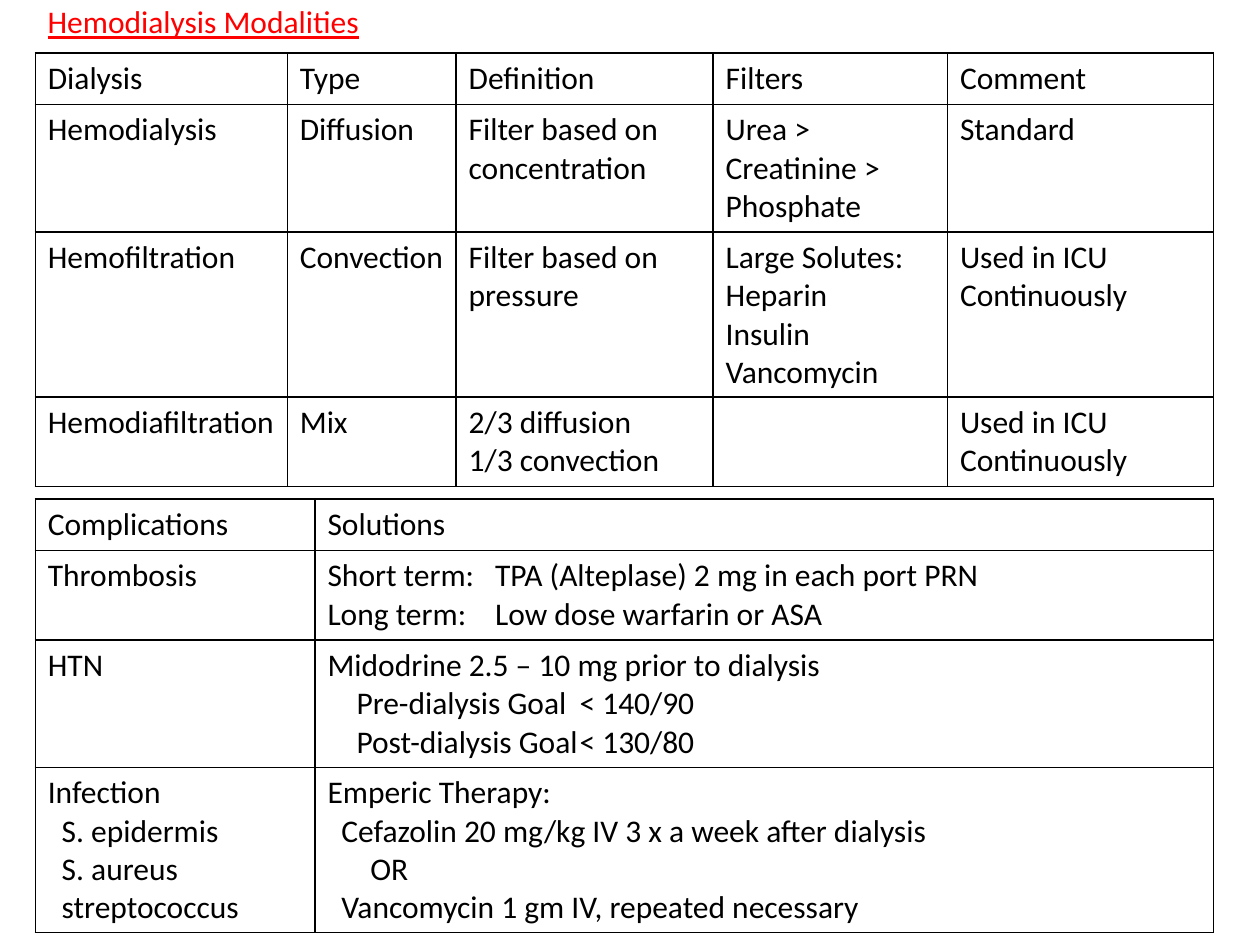
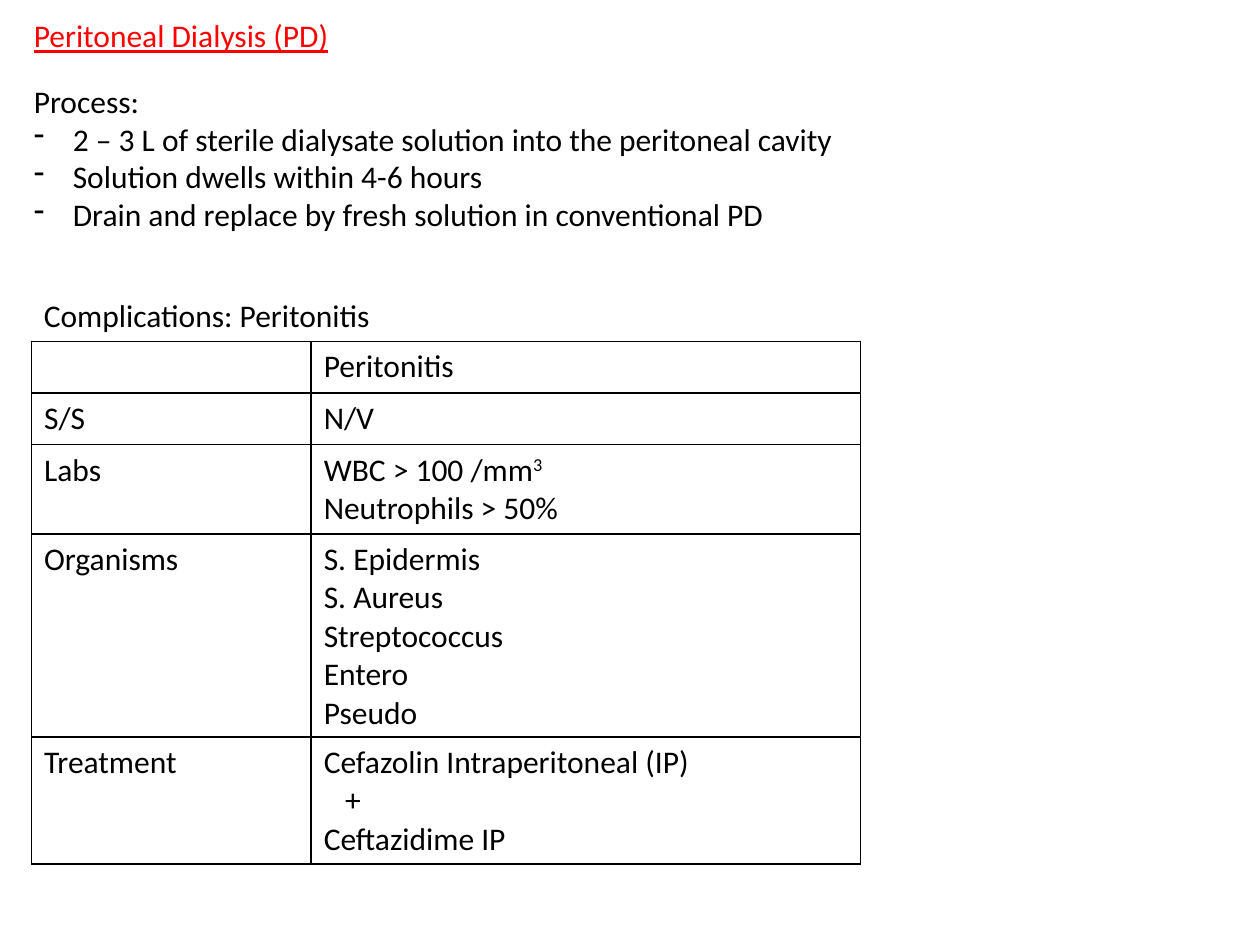
"""Build two slides on hemodialysis and peritoneal dialysis."""
import lxml.etree
import pptx
import pptx.dml.color
import pptx.enum.text
import pptx.oxml
import pptx.oxml.ns
import pptx.util

BLACK, RED = "000000", "FF0000"
BODY = {"name": "Calibri", "size": pptx.util.Pt(18)}
TITLE = {**BODY, "underline": True}
BORDER = (
    '<a:{} xmlns:a="http://schemas.openxmlformats.org/drawingml/2006/main" w="12700">'
    '<a:solidFill><a:srgbClr val="{}"/></a:solidFill></a:{}>'
)
LINE, PADDING = 3, 1.1
DASH = "dash"

deck = pptx.Presentation()
deck.slide_width = pptx.util.Inches(10)
deck.slide_height = pptx.util.Inches(7.5)


def share(percent):
    """Return a percentage of the slide width as a length."""
    return pptx.util.Emu(round(deck.slide_width * percent / 100))


def write(frame, lines, look, colour):
    """Write lines, each a text or (text, indent, tab); ^ starts a superscript."""
    for index, line in enumerate(lines):
        text, indent, tab = line if isinstance(line, tuple) else (line, 0, 0)
        para = frame.paragraphs[0] if index == 0 else frame.add_paragraph()
        settings = para._p.get_or_add_pPr()
        if indent == DASH:
            settings.set("marL", str(share(3.1)))
            settings.set("indent", str(-share(3.1)))
            bullet = lxml.etree.SubElement(settings, pptx.oxml.ns.qn("a:buChar"))
            bullet.set("char", "-")
        elif indent:
            settings.set("marL", "0")
            settings.set("indent", str(share(indent)))
        if tab:
            stops = lxml.etree.SubElement(settings, pptx.oxml.ns.qn("a:tabLst"))
            stop = lxml.etree.SubElement(stops, pptx.oxml.ns.qn("a:tab"))
            stop.set("pos", str(share(tab)))
            stop.set("algn", "l")
        for position, piece in enumerate(text.split("^")):
            span = para.add_run()
            span.text = piece
            for name, value in look.items():
                setattr(span.font, name, value)
            span.font.color.rgb = pptx.dml.color.RGBColor.from_string(colour)
            if position:
                span._r.get_or_add_rPr().set("baseline", "30000")


modalities = [
    [["Dialysis"], ["Type"], ["Definition"], ["Filters"], ["Comment"]],
    [["Hemodialysis"], ["Diffusion"], ["Filter based on", "concentration"],
     ["Urea >", "Creatinine >", "Phosphate"], ["Standard"]],
    [["Hemofiltration"], ["Convection"], ["Filter based on", "pressure"],
     ["Large Solutes:", "Heparin", "Insulin", "Vancomycin"],
     ["Used in ICU", "Continuously"]],
    [["Hemodiafiltration"], ["Mix"], ["2/3 diffusion", "1/3 convection"],
     [], ["Used in ICU", "Continuously"]],
]
complications = [
    [["Complications"], ["Solutions"]],
    [["Thrombosis"],
     [("Short term:\tTPA (Alteplase) 2 mg in each port PRN", 0, 13.3),
      ("Long term:\tLow dose warfarin or ASA", 0, 13.3)]],
    [["HTN"],
     ["Midodrine 2.5 – 10 mg prior to dialysis",
      ("Pre-dialysis Goal\t< 140/90", 2.3, 21),
      ("Post-dialysis Goal\t< 130/80", 2.3, 21)]],
    [["Infection", ("S. epidermis", 1.1, 0), ("S. aureus", 1.1, 0),
      ("streptococcus", 1.1, 0)],
     ["Emperic Therapy:",
      ("Cefazolin 20 mg/kg IV 3 x a week after dialysis", 1.1, 0),
      ("OR", 3.4, 0),
      ("Vancomycin 1 gm IV, repeated necessary", 1.1, 0)]],
]
peritonitis = [
    [[], ["Peritonitis"]],
    [["S/S"], ["N/V"]],
    [["Labs"], ["WBC > 100 /mm^3", "Neutrophils > 50%"]],
    [["Organisms"],
     ["S. Epidermis", "S. Aureus", "Streptococcus", "Entero", "Pseudo"]],
    [["Treatment"],
     ["Cefazolin Intraperitoneal (IP)", ("+", 1.7, 0), "Ceftazidime IP"]],
]
process = [
    "Process:",
    ("2 – 3 L of sterile dialysate solution into the peritoneal cavity", DASH, 0),
    ("Solution dwells within 4-6 hours", DASH, 0),
    ("Drain and replace by fresh solution in conventional PD", DASH, 0),
]

pages = [
    {"texts": [(2.8, -0.3, 27, ["Hemodialysis Modalities"], TITLE, RED)],
     "tables": [(2.8, 4.2, [20, 13.4, 20.4, 18.6, 21.1], modalities),
                (2.8, 39.6, [22.2, 71.3], complications)]},
    {"texts": [(1.7, 0.8, 25.7, ["Peritoneal Dialysis (PD)"], TITLE, RED),
               (1.7, 6, 66.3, process, BODY, BLACK),
               (2.5, 23, 28.3, ["Complications: Peritonitis"], BODY, BLACK)],
     "tables": [(2.5, 27.1, [22.2, 43.6], peritonitis)]},
]

for content in pages:
    page = deck.slides.add_slide(deck.slide_layouts[6])
    for left, top, width, lines, look, colour in content["texts"]:
        height = LINE * len(lines) + PADDING
        box = page.shapes.add_textbox(*map(share, (left, top, width, height)))
        box.text_frame.word_wrap = False
        box.text_frame.auto_size = pptx.enum.text.MSO_AUTO_SIZE.SHAPE_TO_FIT_TEXT
        write(box.text_frame, lines, look, colour)

    for left, top, widths, rows in content["tables"]:
        heights = [LINE * max(map(len, row)) + PADDING for row in rows]
        table = page.shapes.add_table(
            len(rows), len(widths),
            *map(share, (left, top, sum(widths), sum(heights)))).table
        table.first_row = table.horz_banding = False
        for column, width in zip(table.columns, widths):
            column.width = share(width)
        for row_index, row in enumerate(rows):
            table.rows[row_index].height = share(heights[row_index])
            for column_index, lines in enumerate(row):
                cell = table.cell(row_index, column_index)
                cell.fill.background()
                for place, side in enumerate(("lnL", "lnR", "lnT", "lnB")):
                    edge = pptx.oxml.parse_xml(BORDER.format(side, BLACK, side))
                    cell._tc.get_or_add_tcPr().insert(place, edge)
                write(cell.text_frame, lines, BODY, BLACK)

deck.save("out.pptx")
